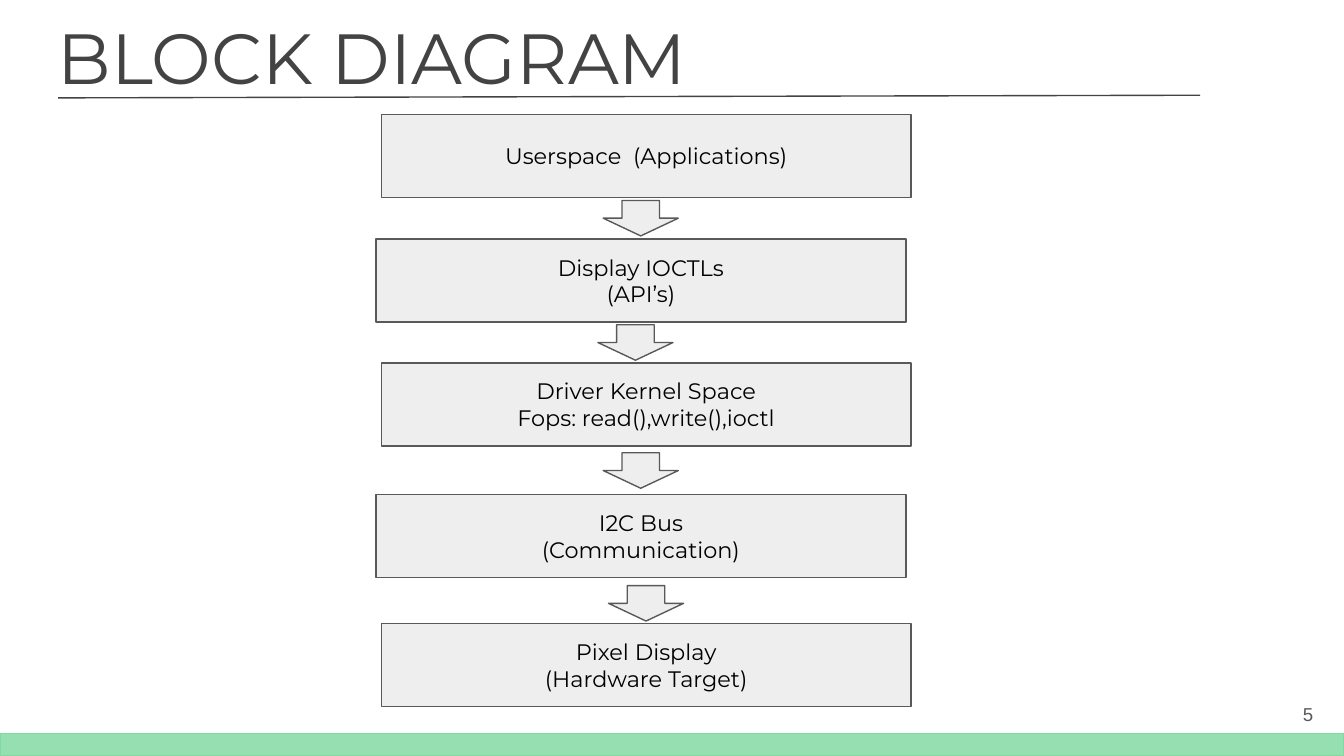
"""Build the block diagram slide of a display driver stack."""
from lxml import etree
from pptx import Presentation
from pptx.dml.color import RGBColor
from pptx.enum.shapes import MSO_CONNECTOR, MSO_SHAPE
from pptx.enum.text import MSO_ANCHOR, PP_ALIGN
from pptx.oxml.ns import qn
from pptx.util import Cm, Pt

RECT, BLOCK, ARROW = MSO_SHAPE.RECTANGLE, MSO_SHAPE.FLOWCHART_PROCESS, MSO_SHAPE.DOWN_ARROW
LEFT, CENTER, RIGHT = PP_ALIGN.LEFT, PP_ALIGN.CENTER, PP_ALIGN.RIGHT
TOP, MIDDLE = MSO_ANCHOR.TOP, MSO_ANCHOR.MIDDLE
COLORS = {"title": "434343", "border": "595959", "block": "EEEEEE",
          "text": "000000", "band": "83DAA1"}


def add_text(sp, text, size=12, font="Montserrat", color="text", align=CENTER, anchor=MIDDLE):
    tf = sp.text_frame
    tf.word_wrap = True
    tf.vertical_anchor = anchor
    tf.margin_left = tf.margin_right = tf.margin_top = tf.margin_bottom = Cm(0.25)
    for i, line in enumerate(text.split("\n")):
        p = tf.paragraphs[0] if i == 0 else tf.add_paragraph()
        p.alignment = align
        r = p.add_run()
        r.text = line
        r.font.size = Pt(size)
        r.font.name = font
        r.font.color.rgb = RGBColor.from_string(COLORS[color])


def add_box(kind, left, top, width, height, fill="block", line="border"):
    sp = s.shapes.add_shape(kind, Cm(left), Cm(top), Cm(width), Cm(height))
    sp.shadow.inherit = False
    sp.fill.solid()
    sp.fill.fore_color.rgb = RGBColor.from_string(COLORS[fill])
    sp.line.color.rgb = RGBColor.from_string(COLORS[line])
    sp.line.width = Pt(0.75)
    return sp


prs = Presentation()
prs.slide_width, prs.slide_height = Cm(25.4), Cm(14.29)
s = prs.slides.add_slide(prs.slide_layouts[6])

number = s.shapes.add_textbox(Cm(23.55), Cm(12.95), Cm(1.52), Cm(1.09))
add_text(number, "5", size=10, font="Arial", color="border", align=RIGHT)

rule = s.shapes.add_connector(MSO_CONNECTOR.STRAIGHT, Cm(1.1), Cm(1.85), Cm(22.68), Cm(1.8))
rule.line.color.rgb = RGBColor.from_string(COLORS["title"])
rule.line.width = Pt(0.75)
etree.SubElement(rule._element.spPr, qn("a:effectLst"))

title = s.shapes.add_textbox(Cm(0.84), Cm(0), Cm(21.18), Cm(2.13))
add_text(title, "BLOCK DIAGRAM", size=38, color="title", align=LEFT, anchor=TOP)

band = add_box(RECT, 0, 13.86, 25.4, 0.43, fill="band", line="band")
band_color = band.fill._xPr.find(qn("a:solidFill"))[0]
etree.SubElement(band_color, qn("a:alpha"), val="84000")

blocks = [
    (7.21, 2.16, "Userspace  (Applications)"),
    (7.11, 4.52, "Display IOCTLs\n(API’s)"),
    (7.21, 6.86, "Driver Kernel Space\nFops: read(),write(),ioctl"),
    (7.11, 9.35, "I2C Bus\n(Communication)"),
    (7.21, 11.79, "Pixel Display\n(Hardware Target)"),
]
for left, top, text in blocks:
    add_text(add_box(BLOCK, left, top, 10.01, 1.57), text)

for left, top in [(11.4, 3.79), (11.3, 6.14), (11.4, 8.56), (11.5, 11.07)]:
    add_box(ARROW, left, top, 1.42, 0.67)

prs.save("out.pptx")
